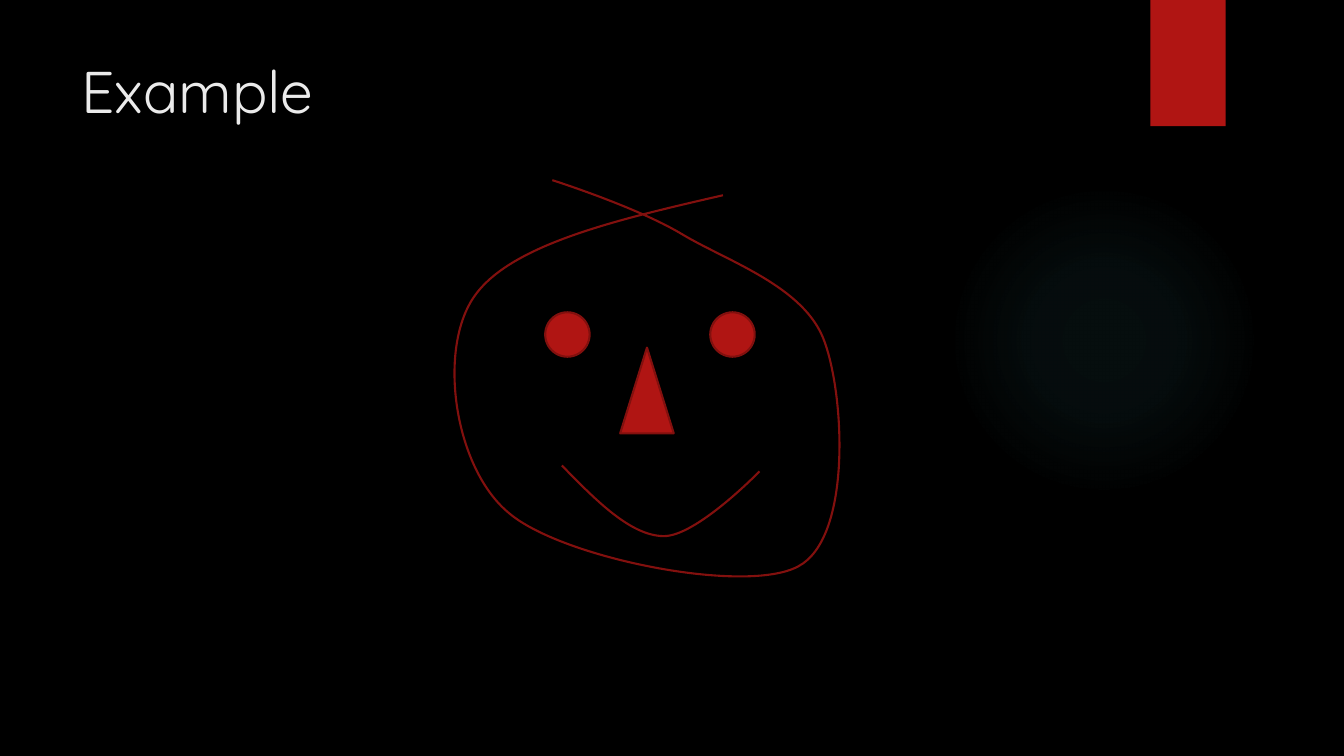
from dataclasses import dataclass

from lxml import etree
from pptx import Presentation
from pptx.dml.color import RGBColor
from pptx.enum.shapes import MSO_SHAPE
from pptx.enum.text import MSO_ANCHOR, PP_ALIGN
from pptx.oxml.ns import qn
from pptx.util import Cm, Pt


@dataclass(frozen=True)
class Theme:
    background: str = "000000"
    text: str = "EBEBEB"
    accent: str = "B01513"
    outline: str = "82100E"
    glow: str = "50B9C1"
    font: str = "Quicksand"
    title_size: float = 42
    line_width: float = 1.5


THEME = Theme()
TITLE = "Example"
TITLE_BOX = (1.8, 1.26, 26.14, 3.89)
GLOW_BOX = (23.91, 4.66, 7.82, 7.82)
GLOW_STOPS = [(0, 7), (36, 6), (69, 0)]
RIBBON_BOX = (28.99, 0, 1.9, 3.18)

EYE_SIZE, EYE_TOP = 1.12, 7.87
FEATURES = [(MSO_SHAPE.OVAL, (left, EYE_TOP, EYE_SIZE, EYE_SIZE)) for left in (13.74, 17.9)]
FEATURES.append((MSO_SHAPE.ISOSCELES_TRIANGLE, (15.63, 8.76, 1.35, 2.16)))

HEAD = [
    (18.22, 4.92),
    (15.52, 5.54), (12.83, 6.17), (11.94, 7.49),
    (11.02, 8.84), (11.46, 11.81), (12.83, 12.93),
    (14.17, 14.07), (18.8, 14.99), (20.12, 14.27),
    (21.46, 13.56), (21.29, 10.01), (20.78, 8.61),
    (20.29, 7.21), (18.31, 6.58), (17.17, 5.89),
    (16.03, 5.21), (13.92, 4.54), (13.92, 4.54),
]
SMILE = [
    (14.16, 11.73),
    (15.01, 12.6), (15.88, 13.49), (16.71, 13.51),
    (17.53, 13.54), (19.14, 11.88), (19.14, 11.88),
]
BOUND_STEPS = 24


def color(value):
    return RGBColor.from_string(value)


def outline(shape):
    shape.line.color.rgb = color(THEME.outline)
    shape.line.width = Pt(THEME.line_width)


def add_solid(slide, kind, box, outlined=False):
    shape = slide.shapes.add_shape(kind, *map(Cm, box))
    shape.shadow.inherit = False
    shape.fill.solid()
    shape.fill.fore_color.rgb = color(THEME.accent)
    if outlined:
        outline(shape)
    else:
        shape.line.fill.background()
    return shape


def add_glow(slide):
    shape = add_solid(slide, MSO_SHAPE.OVAL, GLOW_BOX)
    solid = shape._element.spPr.find(qn("a:solidFill"))
    gradient = etree.Element(qn("a:gradFill"))
    stops = etree.SubElement(gradient, qn("a:gsLst"))
    for position, opacity in GLOW_STOPS:
        stop = etree.SubElement(stops, qn("a:gs"), pos=str(position * 1000))
        tint = etree.SubElement(stop, qn("a:srgbClr"), val=THEME.glow)
        etree.SubElement(tint, qn("a:alpha"), val=str(opacity * 1000))
    path = etree.SubElement(gradient, qn("a:path"), path="circle")
    center = dict.fromkeys("ltrb", "50000")
    etree.SubElement(path, qn("a:fillToRect"), **center)
    solid.getparent().replace(solid, gradient)


def bezier(knots, t):
    weights = ((1 - t) ** 3, 3 * t * (1 - t) ** 2, 3 * t**2 * (1 - t), t**3)
    return tuple(Cm(sum(w * k[axis] for w, k in zip(weights, knots))) for axis in (0, 1))


def add_curve(slide, knots):
    starts = range(0, len(knots) - 1, 3)
    bounds = [
        bezier(knots[i:i + 4], step / BOUND_STEPS)
        for i in starts
        for step in range(1, BOUND_STEPS + 1)
    ]
    builder = slide.shapes.build_freeform(*map(Cm, knots[0]))
    builder.add_line_segments(bounds, close=False)
    curve = builder.convert_to_shape()
    curve.shadow.inherit = False
    curve.fill.background()
    outline(curve)

    path = next(curve._element.iter(qn("a:path")))
    for segment in path.findall(qn("a:lnTo")):
        path.remove(segment)
    for i in starts:
        segment = etree.SubElement(path, qn("a:cubicBezTo"))
        for x, y in knots[i + 1:i + 4]:
            local = {"x": str(Cm(x) - curve.left), "y": str(Cm(y) - curve.top)}
            etree.SubElement(segment, qn("a:pt"), **local)


def set_title(slide):
    title = slide.shapes.title
    title.left, title.top, title.width, title.height = map(Cm, TITLE_BOX)
    frame = title.text_frame
    frame.text = TITLE
    frame.word_wrap = True
    frame.vertical_anchor = MSO_ANCHOR.TOP
    paragraph = frame.paragraphs[0]
    paragraph.alignment = PP_ALIGN.LEFT
    font = paragraph.runs[0].font
    font.name, font.size = THEME.font, Pt(THEME.title_size)
    font.color.rgb = color(THEME.text)


deck = Presentation()
deck.slide_width, deck.slide_height = Cm(33.87), Cm(19.05)
slide = deck.slides.add_slide(deck.slide_layouts[5])
slide.background.fill.solid()
slide.background.fill.fore_color.rgb = color(THEME.background)

add_glow(slide)
add_solid(slide, MSO_SHAPE.RECTANGLE, RIBBON_BOX)
set_title(slide)
add_curve(slide, HEAD)
for kind, box in FEATURES:
    add_solid(slide, kind, box, outlined=True)
add_curve(slide, SMILE)

deck.save("out.pptx")
